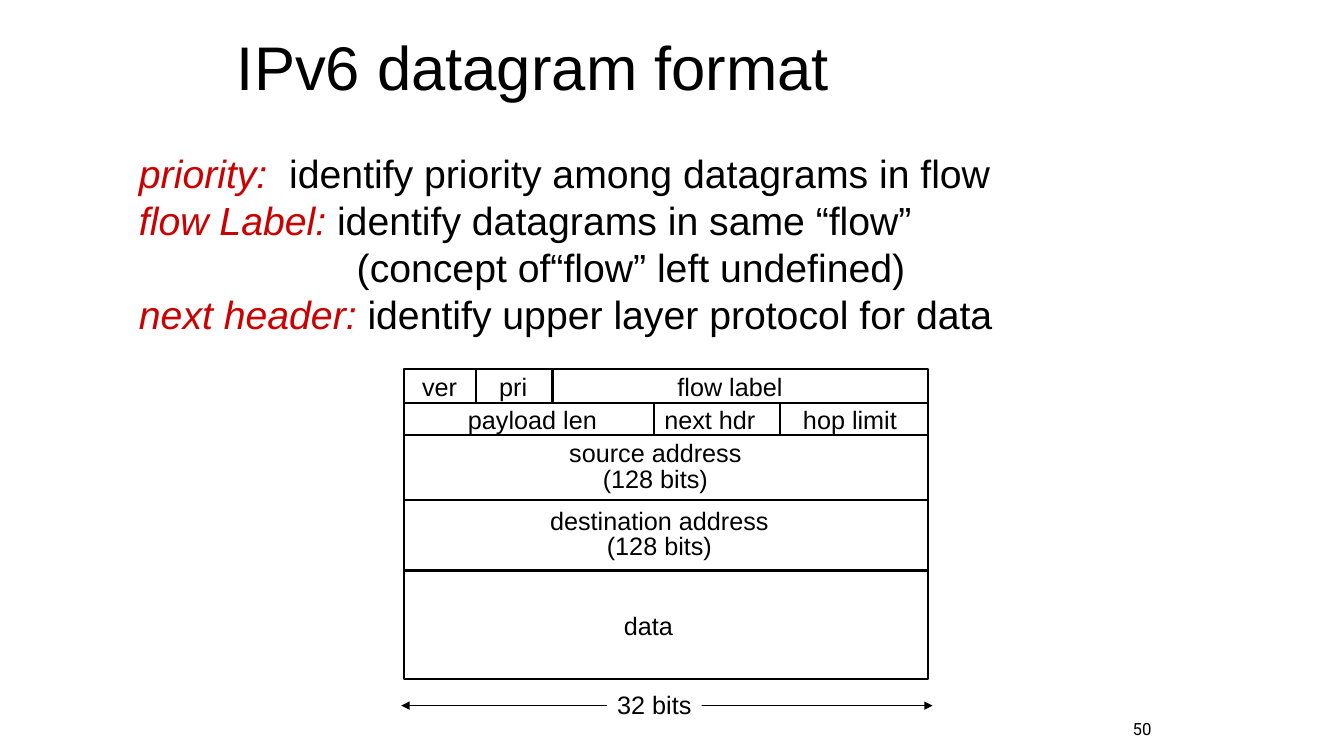
from dataclasses import dataclass

from lxml import etree
from pptx import Presentation
from pptx import util as u
from pptx.dml.color import RGBColor
from pptx.enum import shapes, text
from pptx.oxml.ns import qn

TITLE = "IPv6 datagram format"
# term, gap after the term, explanation
DEFINITIONS = [
    ("priority:", "\t", "identify priority among datagrams in flow"),
    ("flow Label:", " ", "identify datagrams in same “flow”"),
    ("", "", "(concept of“flow” left undefined)"),
    ("next header:", " ", "identify upper layer protocol for data"),
]
TERM_TAB, NOTE_INDENT = 1.49, 2.16

HEADER_LEFT, HEADER_RIGHT = 4.01, 9.2
ROW_EDGES = [3.66, 4, 4.32, 4.96, 5.66, 6.74]
# per row: field label, left edge of its cell, label centre, label width
HEADER_ROWS = [
    [("ver", 4.01, 4.36, 0.55), ("pri", 4.72, 5.09, 0.48), ("flow label", 5.48, 7.24, 1.24)],
    [("payload len", 4.01, 5.28, 1.48), ("next hdr", 6.49, 7.04, 1.1), ("hop limit", 7.74, 8.43, 1.13)],
    [("source address\n(128 bits)", 4.01, 6.5, 1.91)],
    [("destination address\n(128 bits)", 4.01, 6.54, 2.37)],
    [("data", 4.01, 6.43, 0.69)],
]
WIDTH_LABEL = "32 bits"
PAGE_NUMBER = "50"


@dataclass(frozen=True)
class Theme:
    ink: RGBColor = RGBColor(0, 0, 0)
    paper: RGBColor = RGBColor(255, 255, 255)
    term: RGBColor = RGBColor(0xCC, 0, 0)
    font: str = "Arial"
    number_font: str = "Roboto"
    title: int = 44
    body: int = 28
    label: int = 18
    number: int = 12
    rule: float = 1.5
    arrow: float = 0.75


THEME = Theme()


def style(font, size, color=THEME.ink, name=THEME.font):
    font.size, font.name = u.Pt(size), name
    font.color.rgb = color


def add_box(page, left, top, width, height, wrap=True):
    box = page.shapes.add_textbox(*map(u.Inches, (left, top, width, height)))
    box.text_frame.word_wrap = wrap
    return box


def add_rectangle(page, left, top, width, height):
    """White rectangle without outline or shadow."""
    box = page.shapes.add_shape(
        shapes.MSO_SHAPE.RECTANGLE, *map(u.Inches, (left, top, width, height)))
    box.shadow.inherit = False
    box.fill.solid()
    box.fill.fore_color.rgb = THEME.paper
    box.line.fill.background()
    return box


def add_line(page, x1, y1, x2, y2, width=THEME.rule):
    line = page.shapes.add_connector(
        shapes.MSO_CONNECTOR.STRAIGHT, *map(u.Inches, (x1, y1, x2, y2)))
    line.line.color.rgb, line.line.width = THEME.ink, u.Pt(width)
    etree.SubElement(line._element.spPr, qn("a:effectLst"))
    return line


def fill_label(box, label, spacing=None):
    frame = box.text_frame
    frame.text = label
    frame.word_wrap = False
    frame.vertical_anchor = text.MSO_ANCHOR.MIDDLE
    for para in frame.paragraphs:
        para.alignment = text.PP_ALIGN.CENTER
        para.line_spacing = spacing
        style(para.font, THEME.label)


def add_title(page):
    title = page.shapes.title
    title.left, title.top, title.width, title.height = map(u.Inches, (2.25, 0.2, 8.5, 0.99))
    frame = title.text_frame
    frame.text = TITLE
    frame.auto_size = text.MSO_AUTO_SIZE.NONE
    frame.vertical_anchor = text.MSO_ANCHOR.MIDDLE
    para = frame.paragraphs[0]
    para.alignment, para.line_spacing = text.PP_ALIGN.LEFT, 0.9
    style(para.runs[0].font, THEME.title)


def add_definitions(page):
    frame = add_box(page, 1.28, 1.43, 9.78, 1.99).text_frame
    for index, (term, gap, meaning) in enumerate(DEFINITIONS):
        para = frame.add_paragraph() if index else frame.paragraphs[0]
        properties = para._p.get_or_add_pPr()
        if gap == "\t":
            tabs = etree.SubElement(properties, qn("a:tabLst"))
            etree.SubElement(tabs, qn("a:tab"), pos=str(u.Inches(TERM_TAB)), algn="l")
        if term:
            span = para.add_run()
            span.text = term
            style(span.font, THEME.body, THEME.term)
            span.font.italic = True
        else:
            properties.set("marL", str(u.Inches(NOTE_INDENT)))
        span = para.add_run()
        span.text = gap + meaning
        style(span.font, THEME.body)


def add_header(page):
    top, bottom = ROW_EDGES[0], ROW_EDGES[-1]
    frame = add_rectangle(page, HEADER_LEFT, top, HEADER_RIGHT - HEADER_LEFT, bottom - top)
    frame.line.color.rgb, frame.line.width = THEME.ink, u.Pt(THEME.rule)
    for edge in ROW_EDGES[1:-1]:
        add_line(page, HEADER_LEFT, edge, HEADER_RIGHT, edge)
    for fields, top, bottom in zip(HEADER_ROWS, ROW_EDGES, ROW_EDGES[1:]):
        for label, left, centre, width in fields:
            if left > HEADER_LEFT:
                add_line(page, left, top, left, bottom)
            lines = label.count("\n") + 1
            height = 0.4 if lines == 1 else 0.61
            middle = (top + bottom) / 2
            box = add_box(page, centre - width / 2, middle - height / 2, width, height)
            fill_label(box, label, 0.85 if lines > 1 else None)


def add_width_arrow(page):
    arrow = add_line(page, 3.98, 7, 9.25, 7, THEME.arrow)
    outline = arrow.line._get_or_add_ln()
    for end in ("a:headEnd", "a:tailEnd"):
        etree.SubElement(outline, qn(end), type="triangle")
    fill_label(add_rectangle(page, 6.02, 6.79, 0.94, 0.4), WIDTH_LABEL)


def add_page_number(page):
    frame = add_box(page, 10.91, 7.08, 0.61, 0.3).text_frame
    frame.text = PAGE_NUMBER
    frame.vertical_anchor = text.MSO_ANCHOR.MIDDLE
    para = frame.paragraphs[0]
    para.alignment = text.PP_ALIGN.RIGHT
    style(para.runs[0].font, THEME.number, name=THEME.number_font)


def main():
    deck = Presentation()
    deck.slide_width, deck.slide_height = u.Inches(13.33), u.Inches(7.5)
    page = deck.slides.add_slide(deck.slide_layouts[5])
    for add_part in (add_title, add_definitions, add_header, add_width_arrow, add_page_number):
        add_part(page)
    deck.save("out.pptx")


if __name__ == "__main__":
    main()
